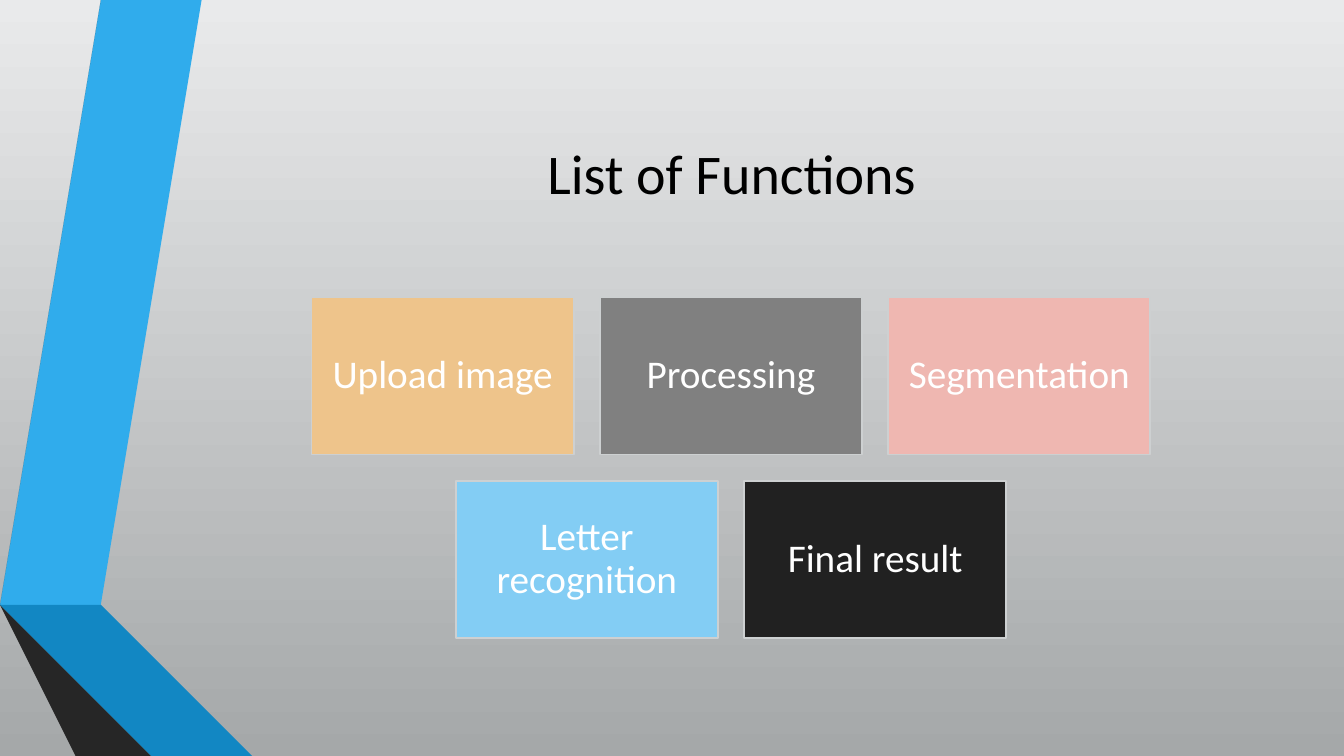
"""Build the "List of Functions" slide with five function tiles."""
import pptx
import pptx.dml.color
import pptx.enum.shapes
import pptx.enum.text
import pptx.util

Inches = pptx.util.Inches
Pt = pptx.util.Pt
RGBColor = pptx.dml.color.RGBColor

WHITE = RGBColor(0xFF, 0xFF, 0xFF)
BLACK = RGBColor(0, 0, 0)
TILE_BORDER = RGBColor(0xCD, 0xD0, 0xD1)
BACKGROUND_TOP = RGBColor(0xE9, 0xEA, 0xEB)
BACKGROUND_BOTTOM = RGBColor(0xA5, 0xA8, 0xA9)
BLUE = RGBColor(0x30, 0xAC, 0xEC)
MID_BLUE = RGBColor(0x12, 0x87, 0xC3)
DARK_BLUE = RGBColor(0x0C, 0x5A, 0x82)
GRAY = RGBColor(0x59, 0x59, 0x59)
MID_GRAY = RGBColor(0x40, 0x40, 0x40)
DARK_GRAY = RGBColor(0x26, 0x26, 0x26)

FONT = "Calibri"
TITLE = "List of Functions"
TILE_ROWS = [
    [
        ("Upload image", RGBColor(0xEE, 0xC4, 0x8B)),
        ("Processing", RGBColor(0x80, 0x80, 0x80)),
        ("Segmentation", RGBColor(0xEF, 0xB7, 0xB1)),
    ],
    [
        ("Letter recognition", RGBColor(0x83, 0xCD, 0xF4)),
        ("Final result", RGBColor(0x21, 0x21, 0x21)),
    ],
]
RIBBONS = [
    (BLUE, [(0.5, 5.78), (0.77, 5.83), (1.73, 0), (1.45, 0)]),
    (GRAY, [(1.39, 0), (1.11, 0), (0.16, 5.73), (0.44, 5.77)]),
    (DARK_GRAY, [(0.16, 5.73), (1.45, 7.5), (1.51, 7.5)]),
    (DARK_BLUE, [(0.5, 5.79), (2.08, 7.5), (2.14, 7.5)]),
    (MID_BLUE, [(0.5, 5.79), (2.14, 7.5), (2.83, 7.5), (0.77, 5.83), (0.5, 5.78)]),
    (MID_GRAY, [(2.02, 7.5), (0.48, 5.83), (0.43, 5.78), (0.44, 5.77),
                (0.16, 5.73), (1.51, 7.5)]),
]

TILE_WIDTH, TILE_HEIGHT, TILE_GAP = 2.6, 1.56, 0.26
TILES_CENTER, TILES_TOP = 7.25, 2.95
TILE_INSET = 0.12


def write_text(shape, text, size, color):
    frame = shape.text_frame
    frame.word_wrap = True
    frame.vertical_anchor = pptx.enum.text.MSO_ANCHOR.MIDDLE
    paragraph = frame.paragraphs[0]
    paragraph.text = text
    paragraph.alignment = pptx.enum.text.PP_ALIGN.CENTER
    paragraph.font.name = FONT
    paragraph.font.size = Pt(size)
    paragraph.font.color.rgb = color
    return frame


def paint_background(slide):
    fill = slide.background.fill
    fill.gradient()
    fill.gradient_angle = 270
    for stop, color in zip(fill.gradient_stops, (BACKGROUND_TOP, BACKGROUND_BOTTOM)):
        stop.color.rgb = color
    fill.gradient_stops[0].position = 0
    fill.gradient_stops[1].position = 1


def add_ribbon(slide, color, points):
    builder = slide.shapes.build_freeform(*points[0], scale=Inches(1))
    builder.add_line_segments(points[1:], close=True)
    ribbon = builder.convert_to_shape()
    ribbon.shadow.inherit = False
    ribbon.fill.solid()
    ribbon.fill.fore_color.rgb = color
    ribbon.line.fill.background()


def add_tile(slide, left, top, label, color):
    tile = slide.shapes.add_shape(
        pptx.enum.shapes.MSO_SHAPE.RECTANGLE,
        Inches(left), Inches(top), Inches(TILE_WIDTH), Inches(TILE_HEIGHT))
    tile.shadow.inherit = False
    tile.fill.solid()
    tile.fill.fore_color.rgb = color
    tile.line.color.rgb = TILE_BORDER
    tile.line.width = Pt(1.25)
    frame = write_text(tile, label, 28, WHITE)
    frame.margin_left = frame.margin_right = Inches(TILE_INSET)
    frame.margin_top = frame.margin_bottom = Inches(TILE_INSET)
    frame.paragraphs[0].line_spacing = 0.9


def main():
    presentation = pptx.Presentation()
    presentation.slide_width = Inches(13.33)
    presentation.slide_height = Inches(7.5)
    slide = presentation.slides.add_slide(presentation.slide_layouts[6])
    paint_background(slide)
    for color, points in RIBBONS:
        add_ribbon(slide, color, points)

    title = slide.shapes.add_textbox(
        Inches(1.93), Inches(0.75), Inches(10.65), Inches(1.92))
    write_text(title, TITLE, 40, BLACK)

    for row, tiles in enumerate(TILE_ROWS):
        row_width = len(tiles) * (TILE_WIDTH + TILE_GAP) - TILE_GAP
        row_left = TILES_CENTER - row_width / 2
        top = TILES_TOP + row * (TILE_HEIGHT + TILE_GAP)
        for column, (label, color) in enumerate(tiles):
            left = row_left + column * (TILE_WIDTH + TILE_GAP)
            add_tile(slide, left, top, label, color)

    presentation.save("out.pptx")


if __name__ == "__main__":
    main()
